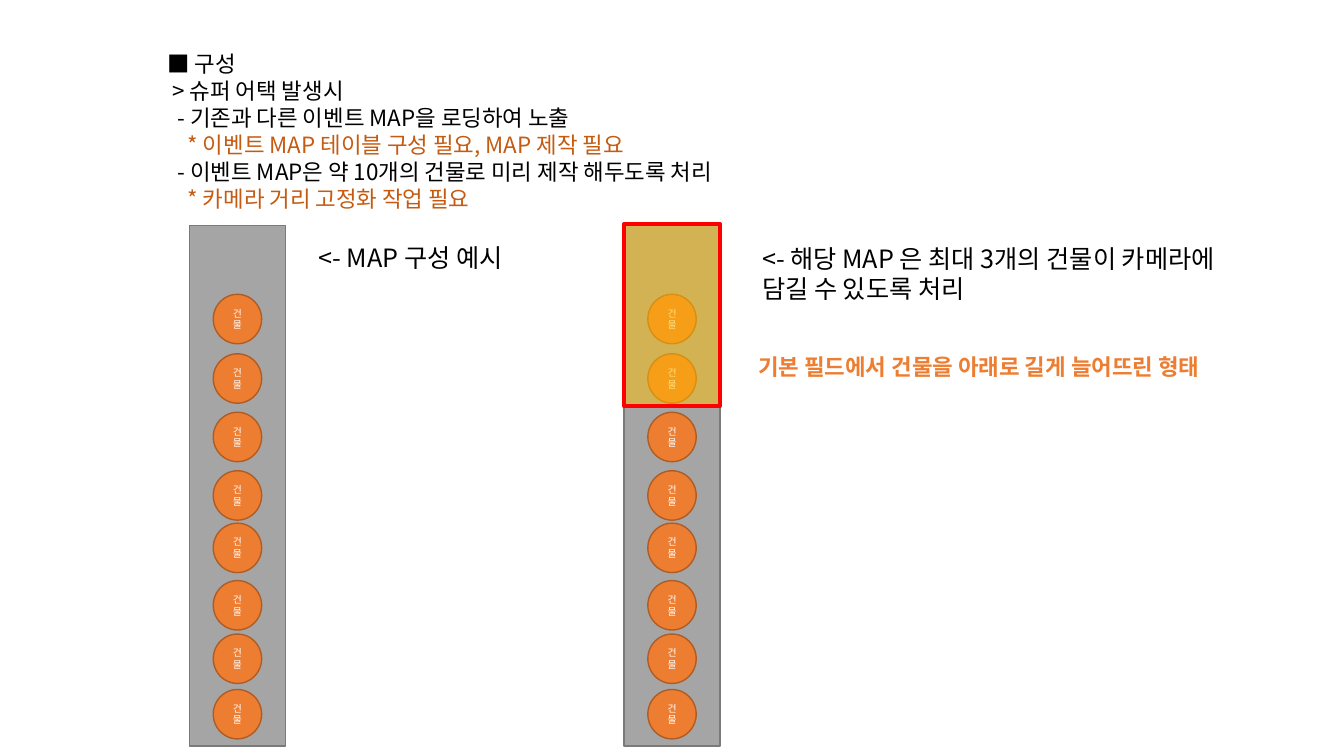
"""Build the slide on how the super attack event map is laid out."""
from lxml import etree
from pptx import Presentation
from pptx.dml.color import RGBColor
from pptx.enum.shapes import MSO_SHAPE as Shape
from pptx.enum.text import MSO_ANCHOR as Anchor, MSO_AUTO_SIZE as Auto, PP_ALIGN as Align
from pptx.oxml.ns import qn
from pptx.util import Inches, Pt

FONT = "Noto Sans CJK KR"
BLACK, WHITE, RUST, ORANGE = "000000", "FFFFFF", "C55A11", "ED7D31"
STEP = 0.05

PLAN = [
    ("■ 구성", 0, BLACK),
    ("> 슈퍼 어택 발생시", 1, BLACK),
    ("- 기존과 다른 이벤트 MAP을 로딩하여 노출", 2, BLACK),
    ("* 이벤트 MAP 테이블 구성 필요, MAP 제작 필요", 4, RUST),
    ("- 이벤트 MAP은 약 10개의 건물로 미리 제작 해두도록 처리", 2, BLACK),
    ("* 카메라 거리 고정화 작업 필요", 4, RUST),
]
LABEL = "건물"
MAPS = [1.88, 6.19]
TOPS = [2.92, 3.51, 4.09, 4.67, 5.19, 5.76, 6.29, 6.84]
MAP_TOP, MAP_W, MAP_H = 2.24, 0.95, 5.16
DOT_W, DOT_H = 0.48, 0.49
NOTES = [
    ((3.06, 2.36, 2.3, 0.4), ["<- MAP 구성 예시"]),
    ((7.46, 2.36, 5.32, 0.71),
     ["<- 해당 MAP 은 최대 3개의 건물이 카메라에", "담길 수 있도록 처리"]),
]
CLAIM = "기본 필드에서 건물을 아래로 길게 늘어뜨린 형태"


def color(code):
    return RGBColor.from_string(code)


def write(para, text, size, code, bold=False):
    run = para.add_run()
    run.text = text
    font = run.font
    font.size, font.bold, font.name = Pt(size), bold, FONT
    font.color.rgb = color(code)
    etree.SubElement(run._r.get_or_add_rPr(), qn("a:ea"), typeface=FONT)


def indent(para, width):
    props = para._p.get_or_add_pPr()
    props.set("marL", str(Inches(width)))
    props.set("indent", "0")
    return props


def lines(frame, count):
    for _ in range(count - 1):
        frame.add_paragraph()
    return frame.paragraphs


def draw(shapes, kind, box, fill, edge, width=1):
    shape = shapes.add_shape(kind, *map(Inches, box))
    shape.shadow.inherit = False
    shape.fill.solid()
    shape.fill.fore_color.rgb = color(fill)
    shape.line.color.rgb = color(edge)
    shape.line.width = Pt(width)
    return shape


def add_box(slide, box, wrap):
    frame = slide.shapes.add_textbox(*map(Inches, box)).text_frame
    frame.word_wrap = wrap
    frame.auto_size = Auto.SHAPE_TO_FIT_TEXT
    return frame


def add_plan(slide):
    body = slide.placeholders[1]
    body.left, body.top, body.width, body.height = map(Inches, (0.56, 0.45, 7.39, 1.72))
    frame = body.text_frame
    frame.word_wrap = False
    frame.auto_size = Auto.SHAPE_TO_FIT_TEXT
    frame.vertical_anchor = Anchor.TOP
    for para, (text, depth, code) in zip(lines(frame, len(PLAN)), PLAN):
        etree.SubElement(indent(para, 1 + depth * STEP), qn("a:buNone"))
        para.space_before = Pt(0)
        write(para, text, 16, code)


def add_map(slide, left):
    shapes = slide.shapes.add_group_shape().shapes
    draw(shapes, Shape.RECTANGLE, (left, MAP_TOP, MAP_W, MAP_H), "A5A5A5", "7A7A7A")
    inset = left + (MAP_W - DOT_W) / 2
    for top in TOPS:
        dot = draw(shapes, Shape.OVAL, (inset, top, DOT_W, DOT_H), ORANGE, "AF5C24")
        frame = dot.text_frame
        frame.word_wrap = True
        frame.vertical_anchor = Anchor.MIDDLE
        para = frame.paragraphs[0]
        para.alignment = Align.CENTER
        write(para, LABEL, 7, WHITE)


def add_view(slide):
    view = draw(slide.shapes, Shape.RECTANGLE, (MAPS[1], 2.22, MAP_W, 1.81),
                "FFC000", "FF0000", 3)
    tint = view._element.spPr.find(qn("a:solidFill"))[0]
    etree.SubElement(tint, qn("a:alpha"), val="50000")


def main():
    deck = Presentation()
    deck.slide_width, deck.slide_height = Inches(13.33), Inches(7.5)
    slide = deck.slides.add_slide(deck.slide_layouts[1])
    title = slide.shapes.title._element
    title.getparent().remove(title)
    add_plan(slide)
    for left, (box, texts) in zip(MAPS, NOTES):
        add_map(slide, left)
        frame = add_box(slide, box, False)
        for para, text in zip(lines(frame, len(texts)), texts):
            write(para, text, 18, BLACK)
    add_view(slide)
    claim = add_box(slide, (7.37, 3.32, 5.83, 0.5), True).paragraphs[0]
    indent(claim, STEP)
    claim.line_spacing = 1.5
    write(claim, CLAIM, 16, ORANGE, True)
    deck.save("out.pptx")


if __name__ == "__main__":
    main()
